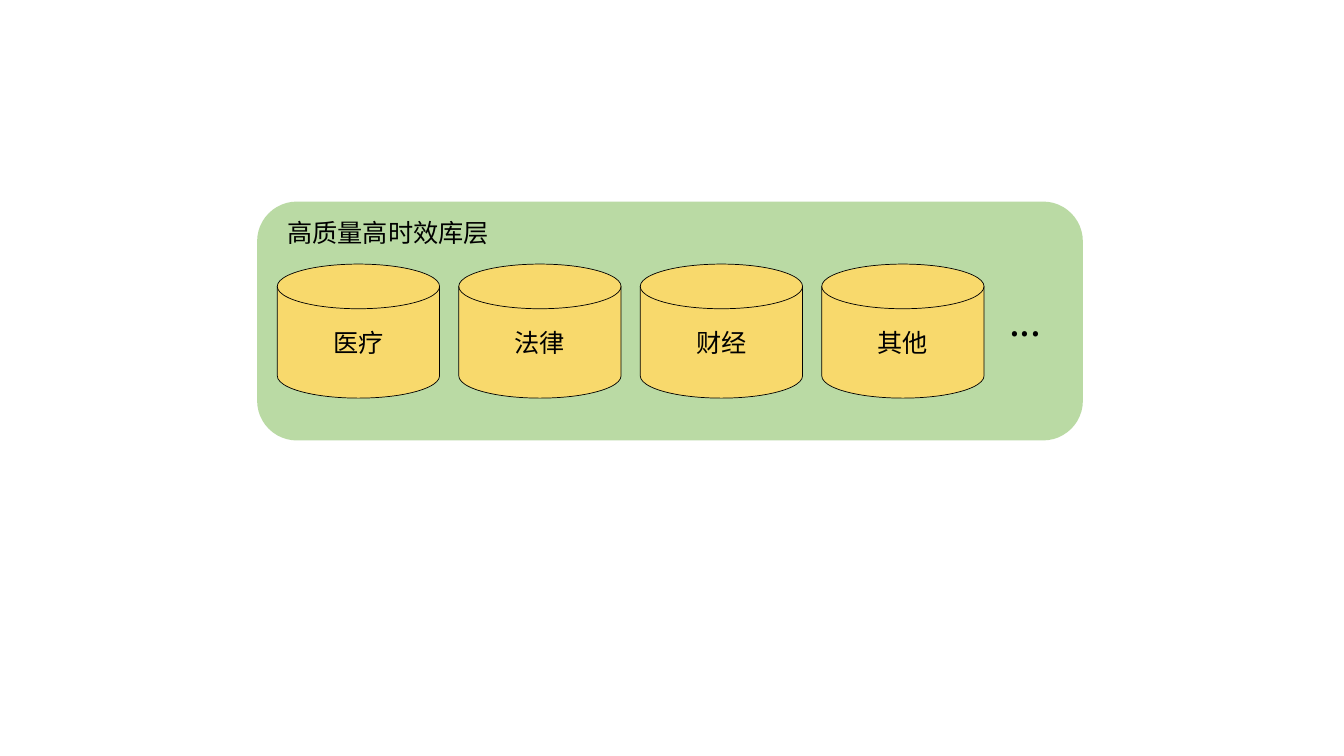
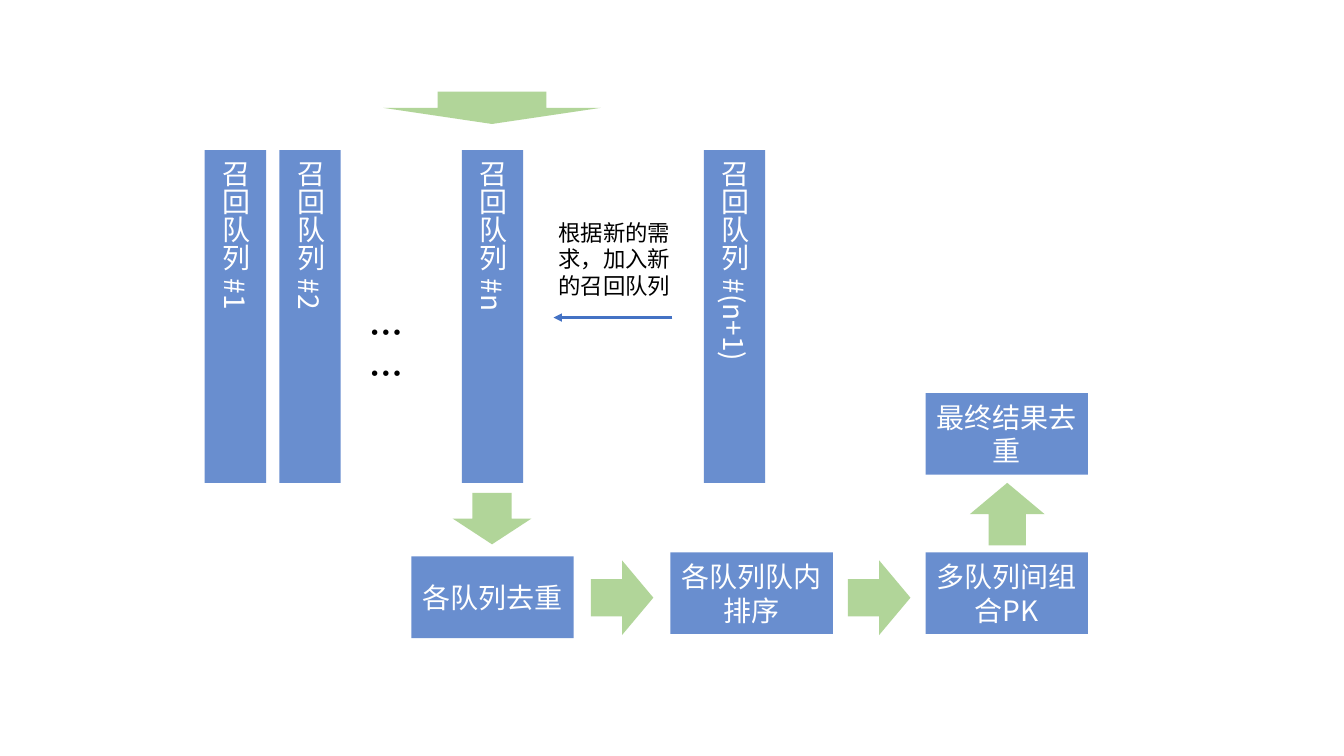
from lxml.etree import SubElement
from pptx import Presentation
from pptx.dml.color import RGBColor
from pptx.enum.shapes import MSO_CONNECTOR, MSO_SHAPE
from pptx.enum.text import MSO_ANCHOR, PP_ALIGN
from pptx.oxml.ns import qn
from pptx.util import Pt

PX = 9144  # EMU in one px, 100 px to the inch
FONT = "Noto Sans CJK SC"
BLACK = RGBColor(0x00, 0x00, 0x00)
WHITE = RGBColor(0xFF, 0xFF, 0xFF)
GREEN = RGBColor(0xA9, 0xD1, 0x8E)
YELLOW = RGBColor(0xFF, 0xD9, 0x66)
BLUE = RGBColor(0x44, 0x72, 0xC4)


def emu(*lengths):
    return [length * PX for length in lengths]


def write(shape, text, size, color, align=PP_ALIGN.LEFT, anchor=MSO_ANCHOR.TOP, bold=False):
    frame = shape.text_frame
    frame.word_wrap = True
    frame.vertical_anchor = anchor
    frame.text = text
    para = frame.paragraphs[0]
    para.alignment = align
    span = para.runs[0]
    span.font.name = FONT
    span.font.size = Pt(size)
    span.font.bold = bold
    span.font.color.rgb = color
    SubElement(span.font._element, qn("a:ea"), typeface=FONT)


def add_block(slide, kind, box, fill, opacity):
    """Add a borderless preset shape whose fill has the given opacity in percent."""
    shape = slide.shapes.add_shape(kind, *emu(*box))
    shape.shadow.inherit = False
    shape.fill.solid()
    shape.fill.fore_color.rgb = fill
    color = shape.fill._xPr.find(qn("a:solidFill"))[0]
    SubElement(color, qn("a:alpha"), val=str(opacity * 1000))
    shape.line.fill.background()
    return shape


def add_label(slide, box, text, size, bold=False):
    write(slide.shapes.add_textbox(*emu(*box)), text, size, BLACK, bold=bold)


def add_database(slide, box, text):
    disk = add_block(slide, MSO_SHAPE.FLOWCHART_MAGNETIC_DISK, box, YELLOW, 90)
    disk.line.color.rgb = BLACK
    disk.line.width = Pt(0.5)
    write(disk, text, 18, BLACK, PP_ALIGN.CENTER, MSO_ANCHOR.MIDDLE)


def add_queue(slide, box, text):
    """Add a tall bar with vertical text that starts at its top."""
    bar = add_block(slide, MSO_SHAPE.RECTANGLE, box, BLUE, 80)
    write(bar, text, 20, WHITE, anchor=MSO_ANCHOR.MIDDLE)
    bar.text_frame._txBody.bodyPr.set("vert", "eaVert")


def add_step(slide, box, text):
    step = add_block(slide, MSO_SHAPE.RECTANGLE, box, BLUE, 80)
    write(step, text, 20, WHITE, PP_ALIGN.CENTER, MSO_ANCHOR.MIDDLE)


def add_flow_arrow(slide, kind, box):
    add_block(slide, kind, box, GREEN, 90)


def add_join_arrow(slide, start, end):
    line = slide.shapes.add_connector(MSO_CONNECTOR.STRAIGHT, *emu(*start, *end))
    line.line.color.rgb = BLUE
    line.line.width = Pt(2)
    SubElement(line.line._get_or_add_ln(), qn("a:tailEnd"), type="triangle")
    SubElement(line._element.spPr, qn("a:effectLst"))


def draw_library_layer(slide, box):
    left, top, _, _ = box
    add_block(slide, MSO_SHAPE.ROUNDED_RECTANGLE, box, GREEN, 80)
    add_label(slide, (left + 20, top + 11, 232, 40), "高质量高时效库层", 18)
    for index, topic in enumerate(("医疗", "法律", "财经", "其他")):
        add_database(slide, (left + 20 + 180 * index, top + 62, 161, 133), topic)
    add_label(slide, (left + 736, top + 90, 84, 57), "...", 28)


def draw_recall_queues(slide, box):
    left, top, _, height = box
    queues = ((0, "#1"), (74, "#2"), (255, "#n"), (495, "#(n+1)"))
    for offset, number in queues:
        add_queue(slide, (left + offset, top, 61, height), f"召回队列 {number}")
    add_label(slide, (left + 154, top + 156, 82, 50), "……", 24, bold=True)
    add_flow_arrow(slide, MSO_SHAPE.DOWN_ARROW, (left + 177, top - 58, 216, 32))
    add_label(slide, (left + 341, top + 63, 152, 91), "根据新的需求，加入新的召回队列", 16)
    add_join_arrow(slide, (left + 464, top + 166), (left + 346, top + 166))


def draw_ranking_steps(slide, box):
    left, top, _, _ = box
    steps = (
        (0, 162, "各队列去重"),
        (257, 158, "各队列队内排序"),
        (510, 158, "多队列间组合PK"),
        (510, 0, "最终结果去重"),
    )
    for across, down, text in steps:
        add_step(slide, (left + across, top + down, 161, 81), text)
    arrows = (
        (MSO_SHAPE.DOWN_ARROW, 41, 99, 78, 51),
        (MSO_SHAPE.RIGHT_ARROW, 178, 166, 62, 74),
        (MSO_SHAPE.RIGHT_ARROW, 433, 166, 62, 74),
        (MSO_SHAPE.UP_ARROW, 554, 89, 74, 62),
    )
    for kind, across, down, width, height in arrows:
        add_flow_arrow(slide, kind, (left + across, top + down, width, height))


def main():
    deck = Presentation()
    deck.slide_width, deck.slide_height = emu(1333, 750)
    blank = deck.slide_layouts[6]
    draw_library_layer(deck.slides.add_slide(blank), (255, 200, 819, 237))
    recall_slide = deck.slides.add_slide(blank)
    draw_recall_queues(recall_slide, (203, 149, 556, 330))
    draw_ranking_steps(recall_slide, (408, 390, 671, 243))
    deck.save("out.pptx")


if __name__ == "__main__":
    main()
